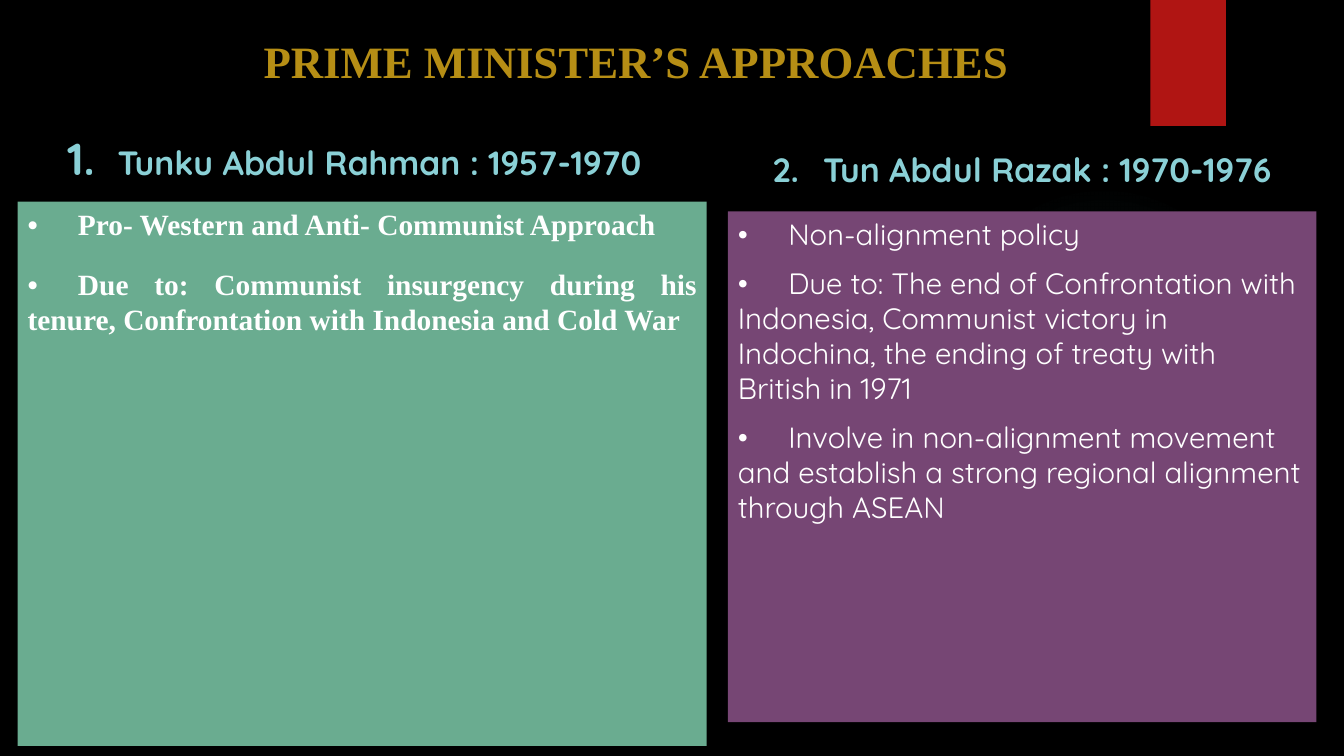
from pptx import Presentation
from pptx.dml.color import RGBColor
from pptx.enum.shapes import MSO_SHAPE
from pptx.enum.text import MSO_ANCHOR, PP_ALIGN
from pptx.oxml import parse_xml
from pptx.oxml.ns import nsdecls
from pptx.util import Pt

SERIF, SANS = "Times New Roman", "Quicksand"
WHITE, AQUA, GOLD = "FFFFFF", "8AD0D6", "B68E15"


def color(fmt, code):
    if hasattr(fmt, "solid"):
        fmt.solid()
        fmt = fmt.fore_color
    fmt.rgb = RGBColor.from_string(code)


def write(par, runs, face, code, bold, align):
    # Numbers and bullets are followed by a tab stop at half an inch
    props = par._p.get_or_add_pPr()
    props.append(parse_xml(
        f'<a:tabLst {nsdecls("a")}><a:tab pos="{Pt(36)}" algn="l"/></a:tabLst>'))
    par.alignment = align
    for text, size in runs:
        run = par.add_run()
        run.text = text
        run.font.size = Pt(size)
        run.font.name = face
        run.font.bold = bold
        color(run.font.color, code)


deck = Presentation()
deck.slide_width, deck.slide_height = Pt(960), Pt(540)
slide = deck.slides.add_slide(deck.slide_layouts[6])
color(slide.background.fill, "000000")
shapes = slide.shapes

# Faint glow
glow = shapes.add_shape(MSO_SHAPE.OVAL, Pt(677.5), Pt(131.8), Pt(221.8), Pt(221.8))
glow.shadow.inherit = False
glow.line.fill.background()
glow.fill.background()
stops = "".join(
    f'<a:gs pos="{pos}000"><a:srgbClr val="50B9C1"><a:alpha val="{alpha}000"/>'
    "</a:srgbClr></a:gs>" for pos, alpha in ((0, 7), (36, 6), (69, 0)))
fade = parse_xml(
    f'<a:gradFill {nsdecls("a")}><a:gsLst>{stops}</a:gsLst><a:path path="circle">'
    '<a:fillToRect l="50000" t="50000" r="50000" b="50000"/></a:path></a:gradFill>')
props = glow._element.spPr
props.replace(props.find("{*}noFill"), fade)

# Red tab
flag = shapes.add_shape(MSO_SHAPE.RECTANGLE, Pt(821.7), 0, Pt(54), Pt(90))
flag.shadow.inherit = False
flag.line.fill.background()
color(flag.fill, "B01513")

# Title and the two headings
heads = [
    ((178.6, 20.9, 551.5, 67.7), MSO_ANCHOR.TOP, SERIF, GOLD,
     [("PRIME MINISTER’S APPROACHES", 32)]),
    ((25.9, 90, 454.3, 45.4), MSO_ANCHOR.BOTTOM, SANS, AQUA,
     [("1.", 32), ("\tTunku Abdul Rahman : 1957-1970", 24)]),
    ((535, 99.4, 390.2, 39.6), MSO_ANCHOR.BOTTOM, SANS, AQUA,
     [("2.\tTun Abdul Razak : 1970-1976", 24)]),
]
for area, anchor, face, code, runs in heads:
    frame = shapes.add_textbox(*map(Pt, area)).text_frame
    frame.word_wrap = True
    frame.vertical_anchor = anchor
    write(frame.paragraphs[0], runs, face, code, True, PP_ALIGN.CENTER)

# Panels with the points for each minister
panels = [
    ((12.6, 144, 492.2, 388.8), "6AAC90", SERIF, True, PP_ALIGN.JUSTIFY, 8, [
        "Pro- Western and Anti- Communist Approach",
        "Due to: Communist insurgency during his tenure, "
        "Confrontation with Indonesia and Cold War"]),
    ((520, 151, 420.4, 364.8), "764674", SANS, False, PP_ALIGN.LEFT, 0, [
        "Non-alignment policy",
        "Due to: The end of Confrontation with Indonesia, Communist victory "
        "in Indochina, the ending of treaty with British in 1971",
        "Involve in non-alignment movement and establish a strong "
        "regional alignment through ASEAN"]),
]
for area, fill, face, bold, align, after, points in panels:
    panel = shapes.add_shape(MSO_SHAPE.RECTANGLE, *map(Pt, area))
    panel.shadow.inherit = False
    panel.line.fill.background()
    color(panel.fill, fill)
    frame = panel.text_frame
    frame.word_wrap = True
    frame.vertical_anchor = MSO_ANCHOR.TOP
    for i, point in enumerate(points):
        par = frame.add_paragraph() if i else frame.paragraphs[0]
        write(par, [("•\t" + point, 21)], face, WHITE, bold, align)
        par.line_spacing = Pt(25)
        par.space_before = Pt(10 if i else 0)
        par.space_after = Pt(after)

deck.save("out.pptx")
